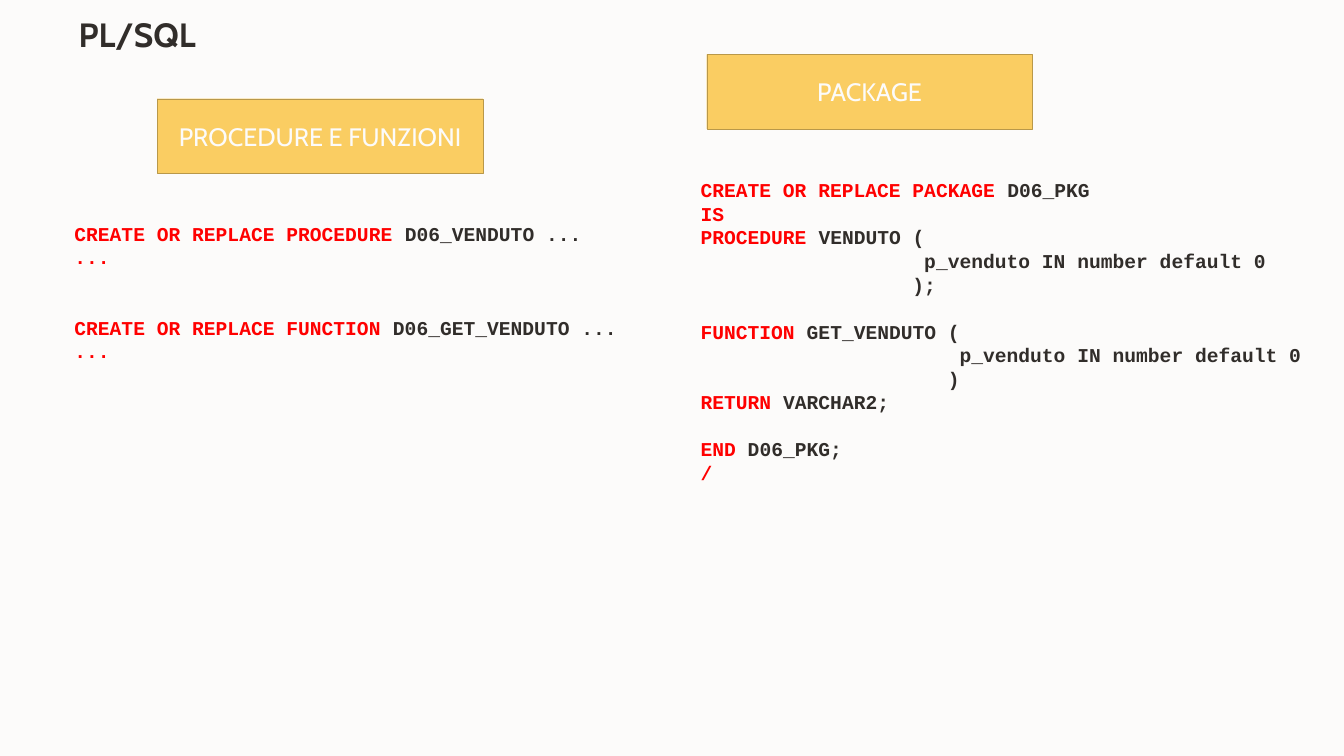
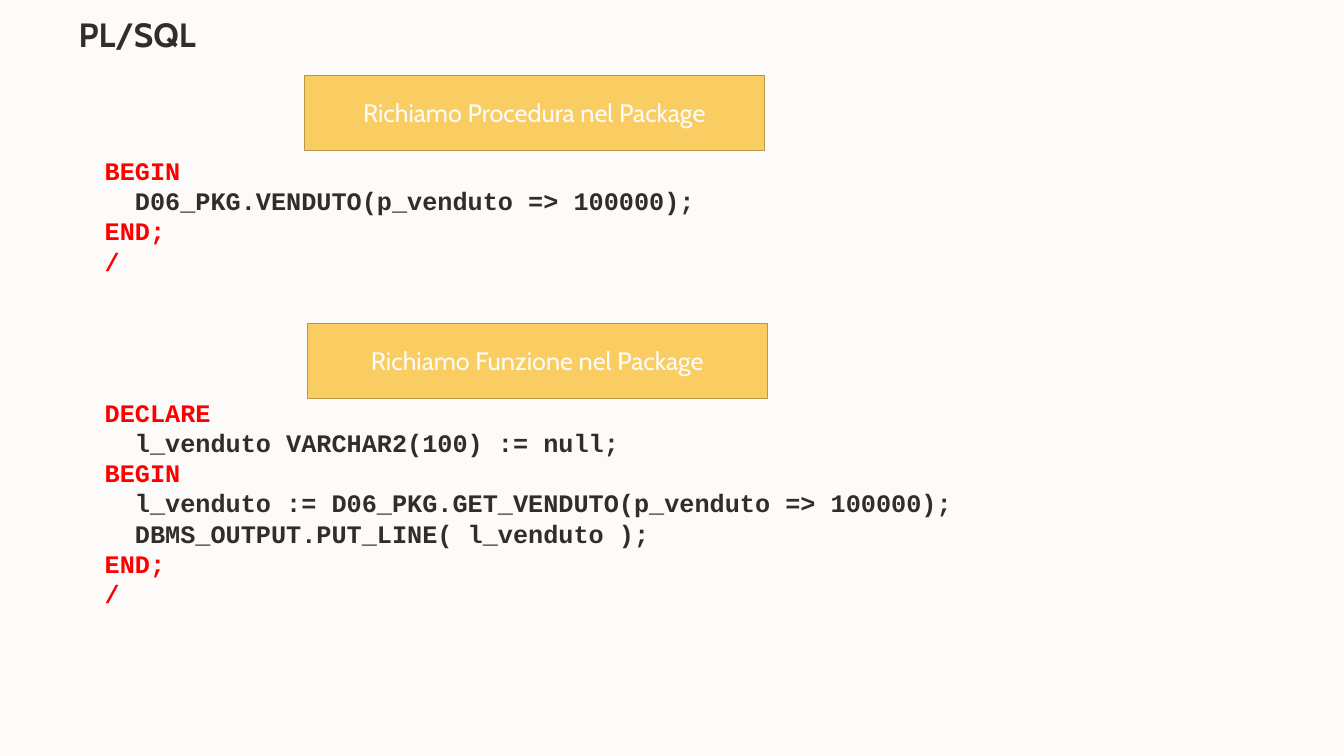
from dataclasses import dataclass

from pptx import Presentation
from pptx.dml.color import RGBColor
from pptx.enum.shapes import MSO_SHAPE
from pptx.enum.text import MSO_ANCHOR, PP_ALIGN
from pptx.util import Inches, Pt

RECT = MSO_SHAPE.RECTANGLE
MIDDLE, BOTTOM = MSO_ANCHOR.MIDDLE, MSO_ANCHOR.BOTTOM
CENTER = PP_ALIGN.CENTER

COLORS = {
    "paper": "FCFBFA",
    "ink": "312D2A",
    "keyword": "FF0000",
    "banner": "FACD62",
    "banner_line": "B99849",
}
TITLE_FONT, CODE_FONT = "Cabin", "Courier New"
BANNER_HEIGHT = 0.74
LINE_HEIGHT = 1.2  # code line height as a multiple of the font size


@dataclass
class Banner:
    text: str
    left: float
    top: float
    width: float


@dataclass
class Line:
    keyword: str = ""
    rest: str = ""
    gap: int = 0  # empty lines left above


@dataclass
class Code:
    left: float
    top: float
    width: float
    height: float
    size: int
    lines: list[Line]


@dataclass
class Page:
    title: str
    codes: list[Code]
    banners: list[Banner]


PAGES = [
    Page(
        "PL/SQL",
        [
            Code(0.64, 2.15, 5.7, 1.51, 14, [
                Line("CREATE OR REPLACE PROCEDURE ", "D06_VENDUTO ..."),
                Line("..."),
                Line("CREATE OR REPLACE FUNCTION ", "D06_GET_VENDUTO ...", gap=2),
                Line("..."),
            ]),
            Code(6.85, 1.72, 6.4, 3.16, 14, [
                Line("CREATE OR REPLACE PACKAGE ", "D06_PKG"),
                Line("IS"),
                Line("PROCEDURE ", "VENDUTO ("),
                Line(rest="                   p_venduto IN number default 0"),
                Line(rest="                  );"),
                Line("FUNCTION ", "GET_VENDUTO (", gap=1),
                Line(rest="                      p_venduto IN number default 0"),
                Line(rest="                     )"),
                Line("RETURN ", "VARCHAR2;"),
                Line("END ", "D06_PKG;", gap=1),
                Line("/"),
            ]),
        ],
        [
            Banner("PROCEDURE E FUNZIONI", 1.56, 0.98, 3.23),
            Banner("PACKAGE", 7.01, 0.54, 3.23),
        ],
    ),
    Page(
        "PL/SQL",
        [
            Code(0.94, 1.49, 10.34, 4.64, 18, [
                Line("BEGIN"),
                Line(rest="  D06_PKG.VENDUTO(p_venduto => 100000);"),
                Line("END;"),
                Line("/"),
                Line("DECLARE", gap=4),
                Line(rest="  l_venduto VARCHAR2(100) := null;"),
                Line("BEGIN"),
                Line(rest="  l_venduto := D06_PKG.GET_VENDUTO(p_venduto => 100000);"),
                Line(rest="  DBMS_OUTPUT.PUT_LINE( l_venduto );"),
                Line("END;"),
                Line("/"),
            ]),
        ],
        [
            Banner("Richiamo Procedura nel Package", 3.02, 0.75, 4.56),
            Banner("Richiamo Funzione nel Package", 3.05, 3.21, 4.56),
        ],
    ),
]


def rgb(name: str) -> RGBColor:
    return RGBColor.from_string(COLORS[name])


def style(r, font: str, size: int, color: str, bold: bool = False) -> None:
    r.font.name = font
    r.font.size = Pt(size)
    r.font.bold = bold
    r.font.color.rgb = rgb(color)


def add_title(s, text: str) -> None:
    sp = s.shapes.add_textbox(Inches(0.78), Inches(0), Inches(6.3), Inches(0.55))
    tf = sp.text_frame
    tf.word_wrap = True
    tf.vertical_anchor = BOTTOM
    tf.margin_left = tf.margin_right = tf.margin_top = tf.margin_bottom = 0
    p = tf.paragraphs[0]
    p.text = text
    p.line_spacing = 0.95
    style(p.runs[0], TITLE_FONT, 24, "ink", bold=True)


def add_code(s, code: Code) -> None:
    sp = s.shapes.add_textbox(Inches(code.left), Inches(code.top),
                              Inches(code.width), Inches(code.height))
    tf = sp.text_frame
    tf.word_wrap = True
    for i, line in enumerate(code.lines):
        p = tf.add_paragraph() if i else tf.paragraphs[0]
        if line.gap:
            p.space_before = Pt(line.gap * code.size * LINE_HEIGHT)
        for text, color in ((line.keyword, "keyword"), (line.rest, "ink")):
            if text:
                r = p.add_run()
                r.text = text
                style(r, CODE_FONT, code.size, color, bold=True)


def add_banner(s, banner: Banner) -> None:
    sp = s.shapes.add_shape(RECT, Inches(banner.left), Inches(banner.top),
                            Inches(banner.width), Inches(BANNER_HEIGHT))
    sp.shadow.inherit = False
    sp.fill.solid()
    sp.fill.fore_color.rgb = rgb("banner")
    sp.line.color.rgb = rgb("banner_line")
    sp.line.width = Pt(0.25)
    tf = sp.text_frame
    tf.word_wrap = True
    tf.vertical_anchor = MIDDLE
    p = tf.paragraphs[0]
    p.text = banner.text
    p.alignment = CENTER
    style(p.runs[0], TITLE_FONT, 18, "paper")


def main() -> None:
    prs = Presentation()
    prs.slide_width, prs.slide_height = Inches(13.33), Inches(7.5)

    # Shared background
    fill = prs.slide_master.background.fill
    fill.solid()
    fill.fore_color.rgb = rgb("paper")

    # Slides
    for page in PAGES:
        s = prs.slides.add_slide(prs.slide_layouts[6])
        add_title(s, page.title)
        for code in page.codes:
            add_code(s, code)
        for banner in page.banners:
            add_banner(s, banner)

    prs.save("out.pptx")


if __name__ == "__main__":
    main()
